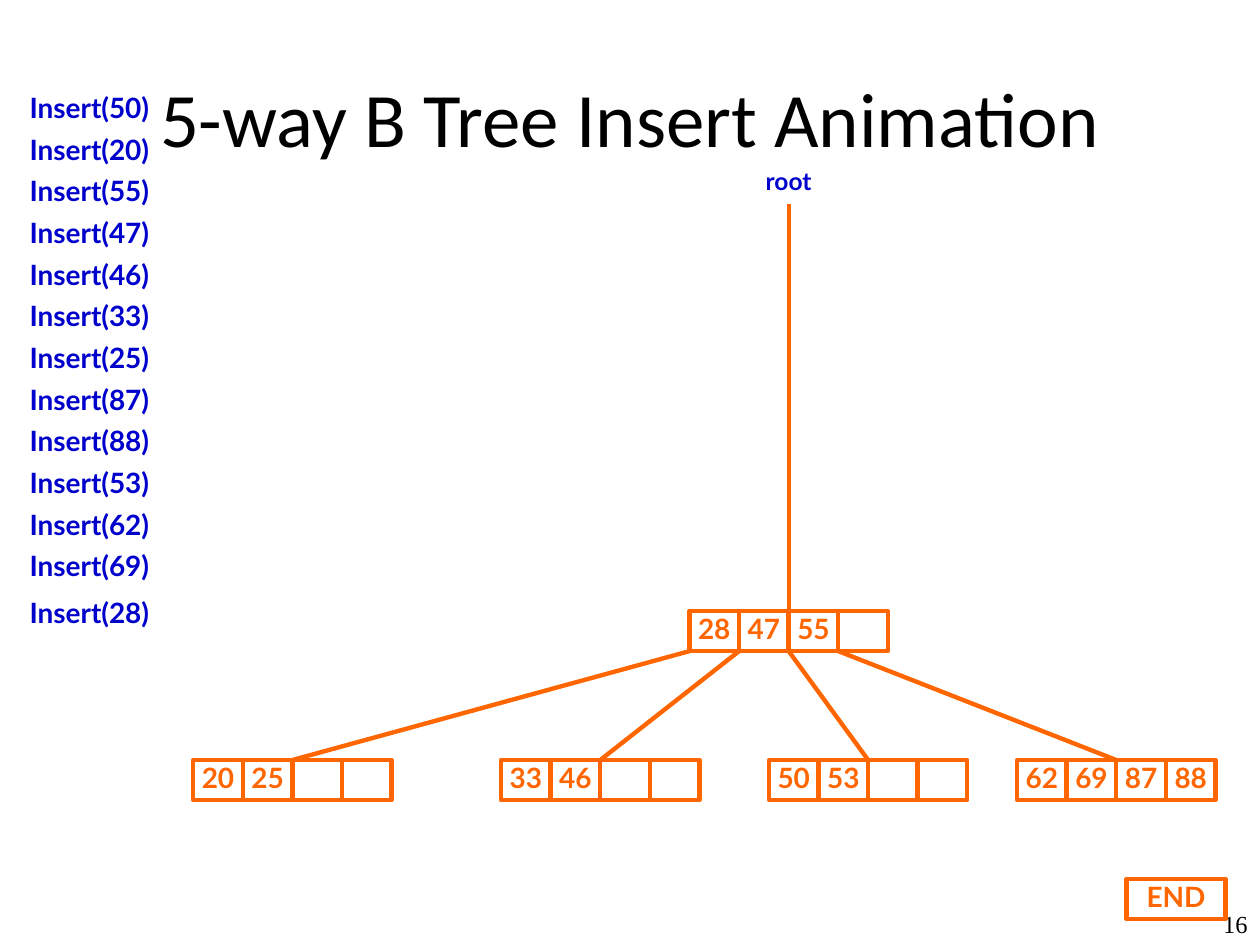
from dataclasses import dataclass

from lxml.etree import SubElement
from pptx import Presentation
from pptx.dml.color import RGBColor
from pptx.enum.shapes import MSO_CONNECTOR, MSO_SHAPE
from pptx.enum.text import MSO_ANCHOR, MSO_AUTO_SIZE, PP_ALIGN
from pptx.oxml.ns import qn
from pptx.util import Pt


@dataclass(frozen=True)
class Theme:
    black: RGBColor = RGBColor(0x00, 0x00, 0x00)
    blue: RGBColor = RGBColor(0x00, 0x00, 0xCC)
    orange: RGBColor = RGBColor(0xFF, 0x66, 0x00)
    title_font: str = "Calibri"
    tree_font: str = "Lato"
    number_font: str = "Times New Roman"
    title_size: int = 44
    text_size: int = 16
    small_size: int = 14
    line_width: float = 2.5


theme = Theme()


def write(frame, text, font, size, color, bold=True, align=PP_ALIGN.CENTER,
          spacing=0.85, before=0, margins=(0, 0)):
    """Fill a text frame with one formatted paragraph; margins are (side, top and bottom)."""
    frame.margin_left = frame.margin_right = Pt(margins[0])
    frame.margin_top = frame.margin_bottom = Pt(margins[1])
    frame.text = text
    paragraph = frame.paragraphs[0]
    paragraph.alignment = align
    paragraph.line_spacing = spacing
    paragraph.space_before = Pt(before)
    run_font = paragraph.runs[0].font
    run_font.name, run_font.size, run_font.bold = font, Pt(size), bold
    run_font.color.rgb = color


def add_branch(x1, y1, x2, y2):
    branch = shapes.add_connector(MSO_CONNECTOR.STRAIGHT, Pt(x1), Pt(y1), Pt(x2), Pt(y2))
    branch.line.color.rgb = theme.orange
    branch.line.width = Pt(theme.line_width)
    SubElement(branch._element.spPr, qn("a:effectLst"))


prs = Presentation()
prs.slide_width, prs.slide_height = Pt(720), Pt(540)
slide = prs.slides.add_slide(prs.slide_layouts[5])
shapes = slide.shapes

title = shapes.title
title.left, title.top, title.width, title.height = Pt(36), Pt(21.6), Pt(648), Pt(90)
title.text_frame.vertical_anchor = MSO_ANCHOR.MIDDLE
write(title.text_frame, "5-way B Tree Insert Animation", theme.title_font, theme.title_size,
      theme.black, bold=False, spacing=1, margins=(7.2, 3.6))

page_number = shapes.add_textbox(Pt(673.9), Pt(519.8), Pt(46.1), Pt(20.2))
page_number.text_frame.word_wrap = True
write(page_number.text_frame, "16", theme.number_font, theme.small_size, theme.black,
      bold=False, align=PP_ALIGN.RIGHT, spacing=0.75, margins=(7.2, 3.6))

# Labels: the inserted keys in order, the last set slightly apart, and the root
inserted_keys = [50, 20, 55, 47, 46, 33, 25, 87, 88, 53, 62, 69, 28]
first_insert_top, insert_step, last_gap = 54.7, 23.8, 3.2
labels = [(f"Insert({key})", 0, first_insert_top + i * insert_step, 102.2, 16.5,
           theme.text_size, 10) for i, key in enumerate(inserted_keys[:-1])]
last_top = first_insert_top + len(labels) * insert_step + last_gap
labels.append((f"Insert({inserted_keys[-1]})", 0, last_top, 102.2, 16.5, theme.text_size, 10))
labels.append(("root", 428, 97.2, 45.4, 14.4, theme.small_size, 8.8))
for text, left, top, width, height, size, before in labels:
    label = shapes.add_textbox(Pt(left), Pt(top), Pt(width), Pt(height))
    label.text_frame.word_wrap = True
    label.text_frame.auto_size = MSO_AUTO_SIZE.SHAPE_TO_FIT_TEXT
    write(label.text_frame, text, theme.tree_font, size, theme.blue, before=before)

# Tree: every node holds four key cells
cell_width, cell_height = 28.35, 22.9
node_slots = 4
root_left, root_top, leaf_top = 394, 349.2, 434.3
root_keys = ["28", "47", "55"]
leaves = [(110.4, ["20", "25"]), (286.3, ["33", "46"]),
          (439.4, ["50", "53"]), (581.2, ["62", "69", "87", "88"])]

boxes = []
for left, top, keys in [(root_left, root_top, root_keys)] + [
        (leaf_left, leaf_top, keys) for leaf_left, keys in leaves]:
    padded_keys = keys + [""] * (node_slots - len(keys))
    boxes += [(key, left + slot * cell_width, top, cell_width)
              for slot, key in enumerate(padded_keys)]
boxes.append(("END", 643.7, 502.3, 2 * cell_width))

for text, left, top, width in boxes:
    box = shapes.add_shape(MSO_SHAPE.RECTANGLE, Pt(left), Pt(top), Pt(width), Pt(cell_height))
    box.shadow.inherit = False
    box.fill.background()
    box.line.color.rgb = theme.orange
    box.line.width = Pt(theme.line_width)
    if text:
        box.text_frame.word_wrap = False
        box.text_frame.vertical_anchor = MSO_ANCHOR.MIDDLE
        write(box.text_frame, text, theme.tree_font, theme.text_size, theme.orange)

# Branches run from the cell borders of the root to the middle of each leaf
node_middle = node_slots / 2 * cell_width
add_branch(root_left + node_middle, 116.8, root_left + node_middle, 355)
for slot, (leaf_left, _) in enumerate(leaves):
    add_branch(root_left + slot * cell_width, root_top + cell_height,
               leaf_left + node_middle, leaf_top)

prs.save("out.pptx")
